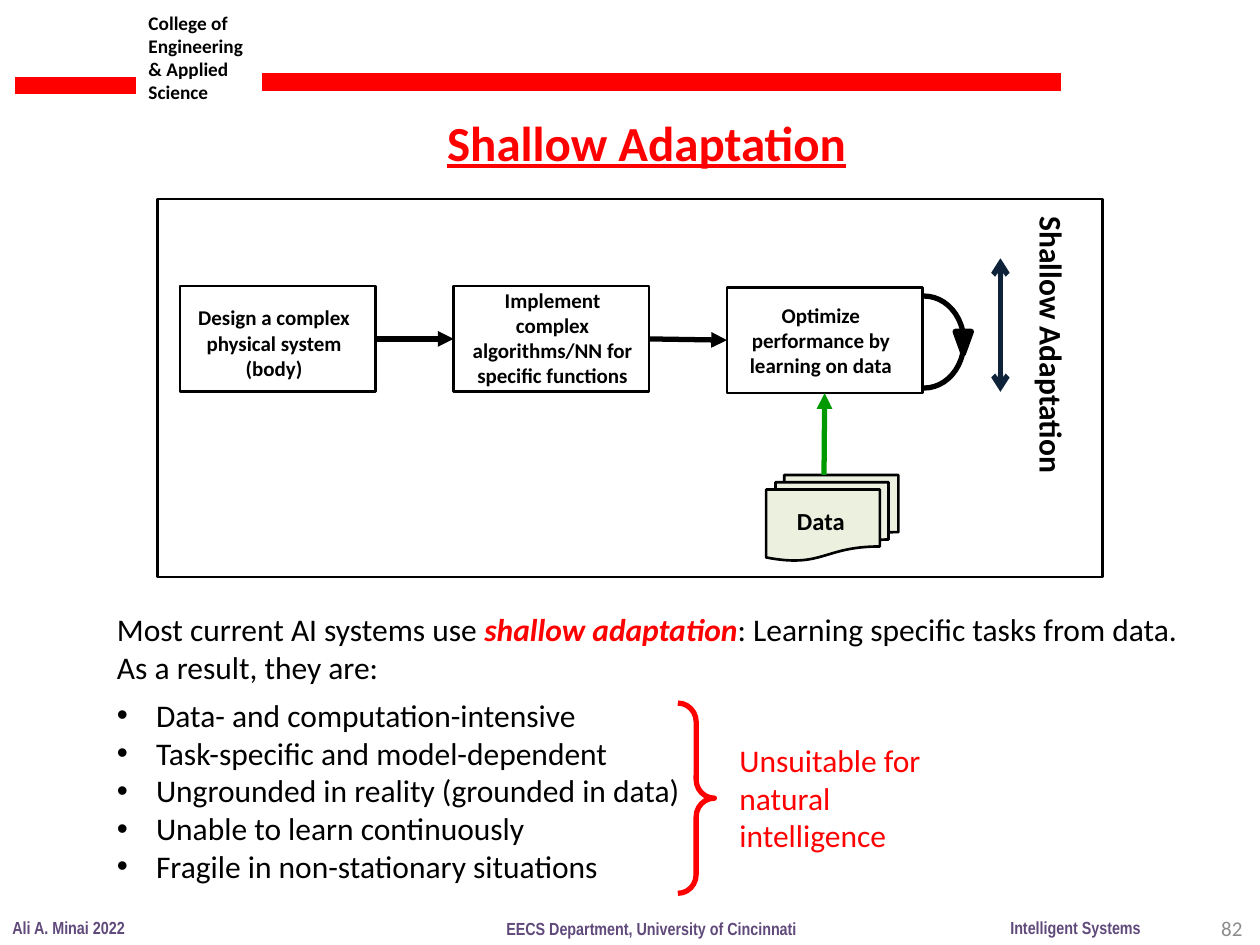
from dataclasses import dataclass

from lxml.etree import SubElement
from pptx import Presentation
from pptx.dml.color import RGBColor
from pptx.enum.shapes import MSO_CONNECTOR, MSO_SHAPE
from pptx.enum.text import MSO_ANCHOR, MSO_AUTO_SIZE, PP_ALIGN
from pptx.oxml.ns import qn
from pptx.util import Inches, Pt

COLORS = {
    "black": "000000", "white": "FFFFFF", "red": "FF0000", "gray": "8C8C8C",
    "purple": "604A7B", "navy": "0E223A", "green": "009900", "paper": "EBF1DE",
}


@dataclass(frozen=True)
class Step:
    text: str
    left: float
    top: float
    text_left: float
    text_top: float
    text_height: float
    fill: str | None = None


@dataclass(frozen=True)
class FooterLabel:
    text: str
    left: float
    top: float
    width: float


STEPS = [
    Step("Design a complex physical system (body)", 1.43, 2.27, 1.43, 2.37, 0.71),
    Step("Implement complex algorithms/NN for specific functions",
         3.6, 2.27, 3.64, 2.23, 0.91),
    Step("Optimize performance by learning on data",
         5.77, 2.28, 5.77, 2.35, 0.71, "white"),
]
FOOTER = [
    FooterLabel("Ali A. Minai 2022", 0, 7.23, 1.1),
    FooterLabel("Intelligent Systems", 7.92, 7.23, 1.24),
    FooterLabel("EECS Department, University of Cincinnati", 3.92, 7.24, 2.52),
]
DRAWBACKS = [
    "Data- and computation-intensive",
    "Task-specific and model-dependent",
    "Ungrounded in reality (grounded in data)",
    "Unable to learn continuously",
    "Fragile in non-stationary situations",
]


def rgb(name: str) -> RGBColor:
    return RGBColor.from_string(COLORS[name])


def add_run(p, text: str, size: float = 18, color: str = "black", font: str = "Calibri",
            bold: bool = False, italic: bool = False, underline: bool = False) -> None:
    r = p.add_run()
    r.text = text
    r.font.name, r.font.size = font, Pt(size)
    r.font.bold, r.font.italic, r.font.underline = bold, italic, underline
    r.font.color.rgb = rgb(color)


def add_text(s, text: str, left: float, top: float, width: float, height: float, *,
             align=PP_ALIGN.LEFT, anchor=MSO_ANCHOR.TOP, wrap: bool = True,
             grow: bool = True, rotation: float = 0, **run_format):
    """Add a text box with one paragraph per line of text; return its text frame."""
    sp = s.shapes.add_textbox(Inches(left), Inches(top), Inches(width), Inches(height))
    sp.rotation = rotation
    tf = sp.text_frame
    tf.word_wrap, tf.vertical_anchor = wrap, anchor
    tf.auto_size = MSO_AUTO_SIZE.SHAPE_TO_FIT_TEXT if grow else MSO_AUTO_SIZE.NONE
    for i, line in enumerate(text.split("\n")):
        p = tf.paragraphs[0] if i == 0 else tf.add_paragraph()
        p.alignment = align
        add_run(p, line, **run_format)
    return tf


def add_bullet(tf, text: str, space_before: float = 0) -> None:
    p = tf.add_paragraph()
    pPr = p._p.get_or_add_pPr()
    pPr.set("marL", str(Inches(0.31)))
    pPr.set("indent", str(-Inches(0.31)))
    SubElement(pPr, qn("a:buFont"), typeface="Arial")
    SubElement(pPr, qn("a:buChar"), char="•")
    p.space_before = Pt(space_before)
    add_run(p, text)


def add_shape(s, kind, left: float, top: float, width: float, height: float, *,
              fill: str | None = None, line: str = "black", weight: float = 1.5):
    sp = s.shapes.add_shape(kind, Inches(left), Inches(top), Inches(width), Inches(height))
    sp.shadow.inherit = False
    if fill:
        sp.fill.solid()
        sp.fill.fore_color.rgb = rgb(fill)
    else:
        sp.fill.background()
    sp.line.color.rgb, sp.line.width = rgb(line), Pt(weight)
    return sp


def add_line(s, start: tuple[float, float], end: tuple[float, float], *,
             color: str = "black", weight: float = 3,
             head: str | None = None, tail: str | None = None):
    """Add a straight line; head is the arrowhead at its start, tail at its end."""
    cx = s.shapes.add_connector(MSO_CONNECTOR.STRAIGHT, *map(Inches, start + end))
    cx.line.color.rgb, cx.line.width = rgb(color), Pt(weight)
    ln = cx.line._get_or_add_ln()
    for tag, kind in (("a:headEnd", head), ("a:tailEnd", tail)):
        if kind:
            SubElement(ln, qn(tag), type=kind)
    SubElement(cx._element.spPr, qn("a:effectLst"))
    return cx


def draw_header_and_footer(s) -> None:
    add_text(s, "College of Engineering & Applied\nScience", 1.08, 0.04, 1.09, 0.84,
             size=11, bold=True)
    add_line(s, (0.12, 0.68), (1.08, 0.68), color="red", weight=10)
    add_line(s, (2.08, 0.65), (8.42, 0.65), color="red", weight=10)
    add_text(s, "82", 7.63, 7.17, 2.33, 0.4, align=PP_ALIGN.RIGHT,
             anchor=MSO_ANCHOR.MIDDLE, grow=False, size=12, color="gray")
    for label in FOOTER:
        add_text(s, label.text, label.left, label.top, label.width, 0.27, wrap=False,
                 size=10, font="Arial Narrow", color="purple", bold=True)
    add_text(s, "Shallow Adaptation", 3.45, 0.84, 3.41, 0.57, wrap=False,
             size=28, color="red", bold=True, underline=True)


def draw_step(s, step: Step):
    box = add_shape(s, MSO_SHAPE.RECTANGLE, step.left, step.top, 1.55, 0.84, fill=step.fill)
    add_text(s, step.text, step.text_left, step.text_top, 1.49, step.text_height,
             align=PP_ALIGN.CENTER, size=12, bold=True)
    return box


def draw_diagram(s) -> None:
    # The last step's white box hides the left part of the learning loop.
    add_shape(s, MSO_SHAPE.OVAL, 7.02, 2.35, 0.63, 0.73, weight=3)
    loop_tip = add_shape(s, MSO_SHAPE.ISOSCELES_TRIANGLE, 7.58, 2.63, 0.13, 0.18,
                         fill="black", weight=3)
    loop_tip.rotation = 180

    boxes = [draw_step(s, step) for step in STEPS]
    for before, after in zip(boxes, boxes[1:]):
        cx = add_line(s, (0, 0), (1, 1), tail="triangle")
        cx.begin_connect(before, 3)
        cx.end_connect(after, 1)

    add_text(s, "Shallow Adaptation", 7.22, 2.55, 2.26, 0.4, wrap=False,
             rotation=90, size=18, bold=True)
    add_line(s, (7.94, 2.05), (7.94, 3.11), color="navy", head="arrow", tail="arrow")
    add_shape(s, MSO_SHAPE.RECTANGLE, 1.25, 1.58, 7.5, 3)

    add_shape(s, MSO_SHAPE.FLOWCHART_MULTIDOCUMENT, 6.08, 3.77, 1.05, 0.68, fill="paper")
    cx = add_line(s, (6.54, 3.77), (6.54, 3.12), color="green", tail="triangle")
    cx.end_connect(boxes[-1], 2)
    add_text(s, "Data", 6.11, 3.97, 0.81, 0.28, align=PP_ALIGN.CENTER, size=14, bold=True)


def draw_conclusions(s) -> None:
    tf = add_text(s, "Most current AI systems use ", 0.83, 4.79, 8.79, 2.31)
    p = tf.paragraphs[0]
    add_run(p, "shallow adaptation", color="red", bold=True, italic=True)
    add_run(p, ": Learning specific tasks from data. As a result, they are:")
    for i, drawback in enumerate(DRAWBACKS):
        add_bullet(tf, drawback, space_before=6 if i == 0 else 0)
    add_text(s, "Unsuitable for natural intelligence", 5.77, 5.83, 1.67, 1.01, color="red")
    brace = add_shape(s, MSO_SHAPE.RIGHT_BRACE, 5.38, 5.58, 0.29, 1.51,
                      line="red", weight=3)
    brace.adjustments[0], brace.adjustments[1] = 0.51, 0.5


def main() -> None:
    prs = Presentation()
    prs.slide_width, prs.slide_height = Inches(10), Inches(7.5)
    s = prs.slides.add_slide(prs.slide_layouts[6])
    draw_header_and_footer(s)
    draw_diagram(s)
    draw_conclusions(s)
    prs.save("out.pptx")


if __name__ == "__main__":
    main()
